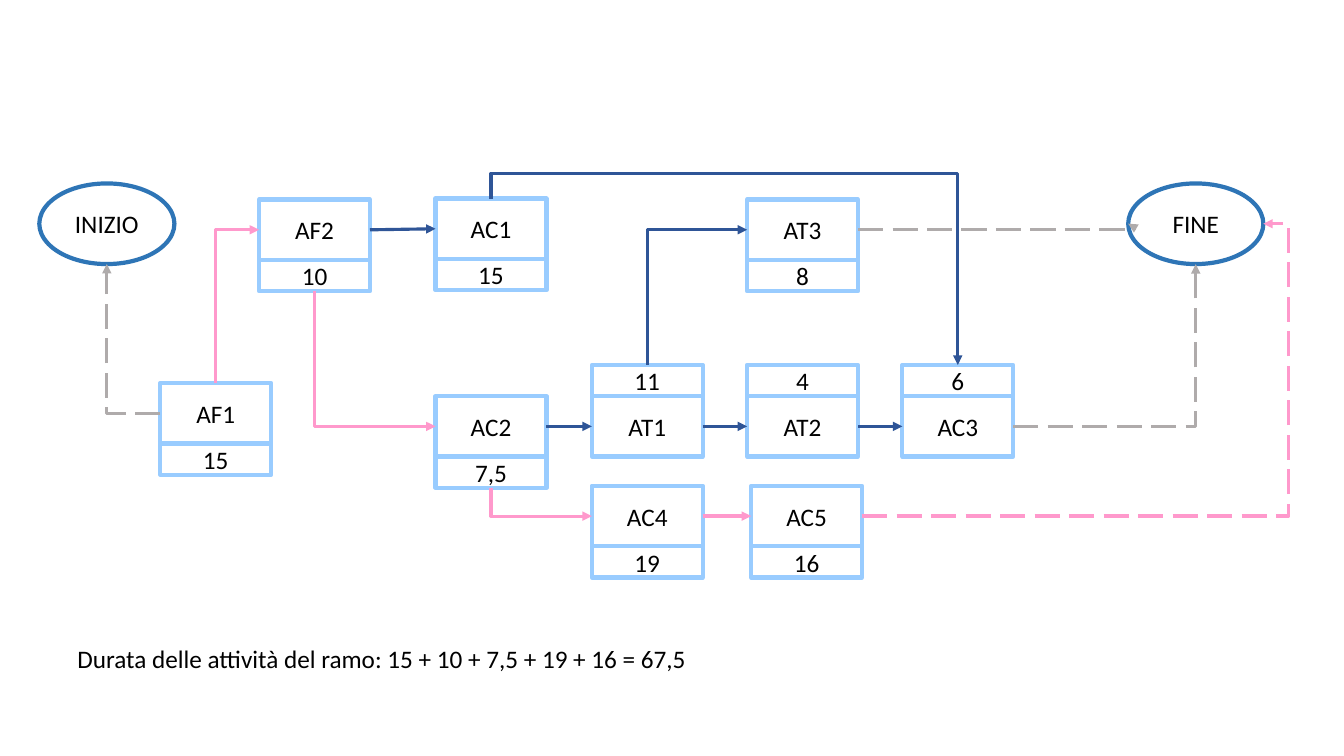
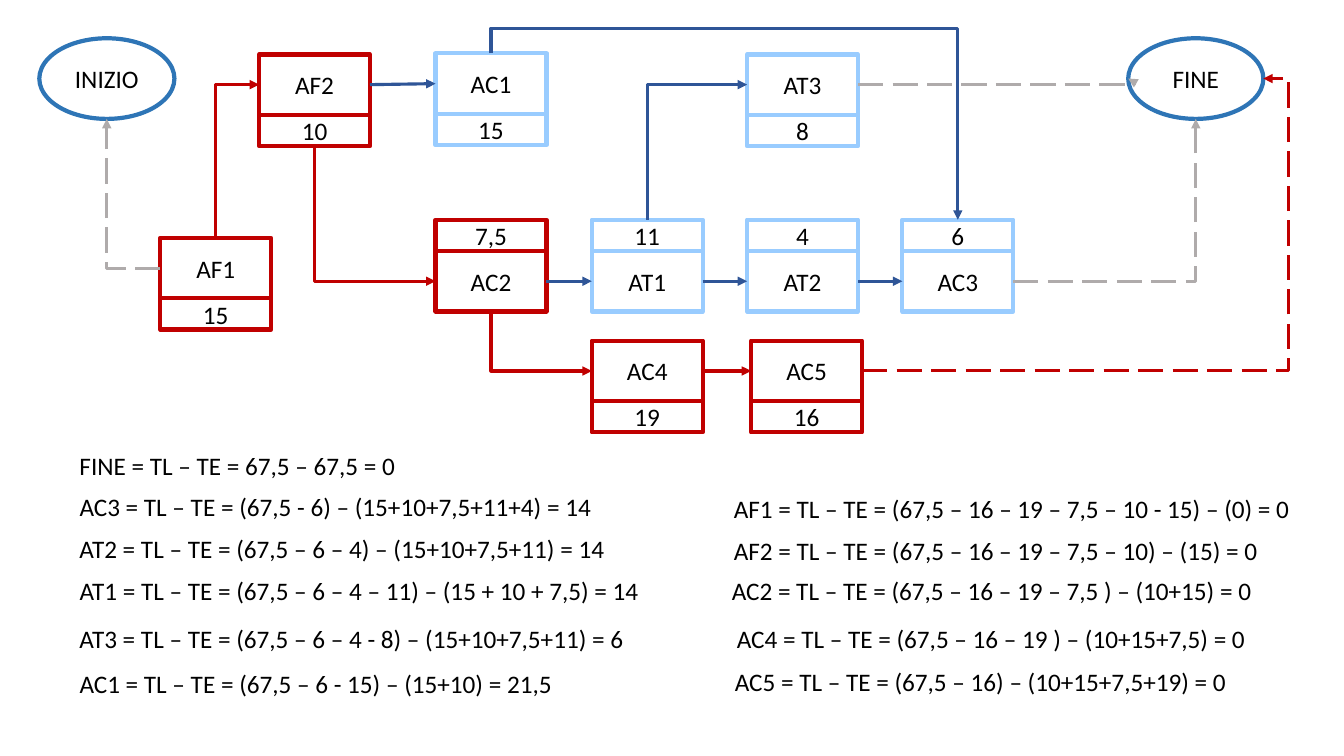
from dataclasses import dataclass
from typing import NamedTuple

from lxml.etree import SubElement
from pptx import Presentation
from pptx.dml.color import RGBColor
from pptx.enum.dml import MSO_LINE
from pptx.enum.shapes import MSO_CONNECTOR as Wire, MSO_SHAPE as Preset
from pptx.enum.text import MSO_ANCHOR, MSO_AUTO_SIZE, PP_ALIGN
from pptx.oxml.ns import qn
from pptx.util import Inches, Pt

# Shared style
FONT, TEXT_SIZE = "Calibri", 18
BLACK, LIGHT_BLUE, OVAL_BLUE = "000000", "99CCFF", "2E75B6"
LINK_BLUE, GREY, PINK, RED = "2F5597", "AFABAB", "FF99CC", "C00000"
BOX_WIDTH, NAME_HEIGHT, DAYS_HEIGHT = 1.1, 0.6, 0.31
OVAL_WIDTH, OVAL_HEIGHT = 1.34, 0.8
TOP, LEFT, BOTTOM, RIGHT = range(4)


class Activity(NamedTuple):
    name: str
    days: str
    left: float
    top: float
    days_above: bool = False


class Milestone(NamedTuple):
    name: str
    left: float
    top: float


class Link(NamedTuple):
    start: str
    start_side: int
    end: str
    end_side: int
    lane: float = 0  # distance of the middle leg beyond the start (-) or end (+)


class Note(NamedTuple):
    text: str
    left: float
    top: float
    width: float


@dataclass
class Diagram:
    shift: float
    critical_box: str
    critical_link: str
    days_above: set
    notes: list


# Project network
ACTIVITIES = [
    Activity("AF1", "15", 1.59, 3.8),
    Activity("AF2", "10", 2.57, 1.98),
    Activity("AC1", "15", 4.32, 1.97),
    Activity("AC2", "7,5", 4.32, 3.93),
    Activity("AT1", "11", 5.87, 3.93),
    Activity("AC4", "19", 5.87, 4.82),
    Activity("AT2", "4", 7.41, 3.93),
    Activity("AT3", "8", 7.41, 1.98),
    Activity("AC5", "16", 7.45, 4.82),
    Activity("AC3", "6", 8.95, 3.93),
]
MILESTONES = [Milestone("INIZIO", 0.39, 1.82), Milestone("FINE", 11.19, 1.82)]
MILESTONE_NAMES = {milestone.name for milestone in MILESTONES}
CRITICAL = {"AF1", "AF2", "AC2", "AC4", "AC5", "FINE"}
LINKS = [
    Link("AF2", RIGHT, "AC1", LEFT),
    Link("AC2", RIGHT, "AT1", LEFT),
    Link("AT1", RIGHT, "AT2", LEFT),
    Link("AC4", RIGHT, "AC5", LEFT),
    Link("AT2", RIGHT, "AC3", LEFT),
    Link("AC1", TOP, "AC3", TOP, -0.25),
    Link("AF2", BOTTOM, "AC2", LEFT),
    Link("AC2", BOTTOM, "AC4", LEFT),
    Link("AT1", TOP, "AT3", LEFT),
    Link("AF1", TOP, "AF2", LEFT),
    Link("AF1", LEFT, "INIZIO", BOTTOM),
    Link("AC5", RIGHT, "FINE", RIGHT, 0.25),
    Link("AC3", RIGHT, "FINE", BOTTOM),
    Link("AT3", RIGHT, "FINE", LEFT, 0.06),
]

# Slide contents
DIAGRAMS = [
    Diagram(0, LIGHT_BLUE, PINK, {"AT1", "AT2", "AC3"}, [
        Note("Durata delle attività del ramo: 15 + 10 + 7,5 + 19 + 16 = 67,5",
             0.67, 6.33, 6.27),
    ]),
    Diagram(-1.44, RED, RED, {"AC2", "AT1", "AT2", "AC3"}, [
        Note("FINE = TL – TE = 67,5 – 67,5 = 0", 0.69, 4.42, 3.43),
        Note("AC3 = TL – TE = (67,5 - 6) – (15+10+7,5+11+4) = 14", 0.69, 4.83, 5.35),
        Note("AT2 = TL – TE = (67,5 – 6 – 4) – (15+10+7,5+11) = 14", 0.69, 5.24, 5.54),
        Note("AT1 = TL – TE = (67,5 – 6 – 4 – 11) – (15 + 10 + 7,5) = 14", 0.69, 5.66, 5.88),
        Note("AT3 = TL – TE = (67,5 – 6 – 4 - 8) – (15+10+7,5+11) = 6", 0.69, 6.13, 5.73),
        Note("AC1 = TL – TE = (67,5 – 6 - 15) – (15+10) = 21,5", 0.69, 6.58, 4.95),
        Note("AF1 = TL – TE = (67,5 – 16 – 19 – 7,5 – 10 - 15) – (0) = 0", 7.18, 4.84, 5.79),
        Note("AF2 = TL – TE = (67,5 – 16 – 19 – 7,5 – 10) – (15) = 0", 7.18, 5.26, 5.47),
        Note("AC2 = TL – TE = (67,5 – 16 – 19 – 7,5 ) – (10+15) = 0", 7.16, 5.66, 5.43),
        Note("AC4 = TL – TE = (67,5 – 16 – 19 ) – (10+15+7,5) = 0", 7.21, 6.13, 5.31),
        Note("AC5 = TL – TE = (67,5 – 16) – (10+15+7,5+19) = 0", 7.19, 6.56, 5.2),
    ]),
]


def colour(value: str) -> RGBColor:
    return RGBColor.from_string(value)


def write(shape, text: str, align: PP_ALIGN) -> None:
    para = shape.text_frame.paragraphs[0]
    para.text = text
    para.alignment = align
    for span in para.runs:
        span.font.name = FONT
        span.font.size = Pt(TEXT_SIZE)
        span.font.color.rgb = colour(BLACK)


def add_outline(page, preset, text: str, left: float, top: float,
                width: float, height: float, line_colour: str):
    shape = page.shapes.add_shape(
        preset, Inches(left), Inches(top), Inches(width), Inches(height))
    shape.shadow.inherit = False
    shape.fill.background()
    shape.line.color.rgb = colour(line_colour)
    shape.line.width = Pt(3)
    shape.text_frame.vertical_anchor = MSO_ANCHOR.MIDDLE
    write(shape, text, PP_ALIGN.CENTER)
    return shape


def add_activity(page, activity: Activity, diagram: Diagram) -> dict:
    """Draw the name and duration boxes; return the box to join on each side."""
    line_colour = diagram.critical_box if activity.name in CRITICAL else LIGHT_BLUE
    above = activity.name in diagram.days_above
    top = activity.top + diagram.shift
    days_top = top - DAYS_HEIGHT if above else top + NAME_HEIGHT
    name_box = add_outline(page, Preset.RECTANGLE, activity.name, activity.left,
                           top, BOX_WIDTH, NAME_HEIGHT, line_colour)
    days_box = add_outline(page, Preset.RECTANGLE, activity.days, activity.left,
                           days_top, BOX_WIDTH, DAYS_HEIGHT, line_colour)
    return {LEFT: name_box, RIGHT: name_box,
            TOP: days_box if above else name_box,
            BOTTOM: name_box if above else days_box}


def add_milestone(page, milestone: Milestone, diagram: Diagram) -> dict:
    oval = add_outline(page, Preset.OVAL, milestone.name, milestone.left,
                       milestone.top + diagram.shift, OVAL_WIDTH, OVAL_HEIGHT, OVAL_BLUE)
    return dict.fromkeys((TOP, LEFT, BOTTOM, RIGHT), oval)


def bend(connector, link: Link) -> None:
    """Give an elbow its number of turns, its first direction and its lane."""
    properties = connector.element.spPr
    across = connector.end_x - connector.begin_x
    down = connector.end_y - connector.begin_y
    length = abs(across)
    if link.start_side in (TOP, BOTTOM):
        # Leaves vertically: turn the frame about its centre
        length = abs(down)
        middle_x = connector.begin_x + across // 2
        middle_y = connector.begin_y + down // 2
        connector.left = middle_x - length // 2
        connector.top = middle_y - abs(across) // 2
        connector.width, connector.height = length, abs(across)
        frame = properties.find(qn("a:xfrm"))
        frame.set("rot", "16200000" if down > 0 else "5400000")
        frame.set("flipH", "1")
        frame.set("flipV", "0" if down > 0 else "1")
    geometry = properties.find(qn("a:prstGeom"))
    if not link.lane:
        geometry.set("prst", "bentConnector2")
        return
    ratio = link.lane * Inches(1) / length + (1 if link.lane > 0 else 0)
    guides = geometry.find(qn("a:avLst"))
    if guides is None:
        guides = SubElement(geometry, qn("a:avLst"))
    SubElement(guides, qn("a:gd"), name="adj1", fmla=f"val {round(ratio * 100000)}")


def add_link(page, link: Link, joints: dict, diagram: Diagram) -> None:
    turns = bool(link.lane) or link.start_side % 2 != link.end_side % 2
    connector = page.shapes.add_connector(
        Wire.ELBOW if turns else Wire.STRAIGHT,
        Inches(0), Inches(0), Inches(0), Inches(0))
    connector.begin_connect(joints[link.start][link.start_side], link.start_side)
    connector.end_connect(joints[link.end][link.end_side], link.end_side)
    to_milestone = link.end in MILESTONE_NAMES
    if to_milestone:
        # An oval has eight joints, so each side has twice the number
        for joint in connector.element.iter(qn("a:endCxn")):
            joint.set("idx", str(link.end_side * 2))
    if turns:
        bend(connector, link)

    # Line style and arrowhead
    if {link.start, link.end} <= CRITICAL:
        line_colour = diagram.critical_link
    else:
        line_colour = GREY if to_milestone else LINK_BLUE
    connector.line.color.rgb = colour(line_colour)
    connector.line.width = Pt(2.25)
    if to_milestone:
        connector.line.dash_style = MSO_LINE.LONG_DASH
    properties = connector.element.spPr
    SubElement(properties.find(qn("a:ln")), qn("a:tailEnd"), type="triangle")
    SubElement(properties, qn("a:effectLst"))


def add_note(page, note: Note) -> None:
    box = page.shapes.add_textbox(
        Inches(note.left), Inches(note.top), Inches(note.width), Inches(0.4))
    box.text_frame.word_wrap = False
    box.text_frame.auto_size = MSO_AUTO_SIZE.SHAPE_TO_FIT_TEXT
    write(box, note.text, PP_ALIGN.LEFT)


def add_diagram(deck, diagram: Diagram) -> None:
    page = deck.slides.add_slide(deck.slide_layouts[6])
    joints = {}
    for milestone in MILESTONES:
        joints[milestone.name] = add_milestone(page, milestone, diagram)
    for activity in ACTIVITIES:
        joints[activity.name] = add_activity(page, activity, diagram)
    for link in LINKS:
        add_link(page, link, joints, diagram)
    for note in diagram.notes:
        add_note(page, note)


def main() -> None:
    deck = Presentation()
    deck.slide_width, deck.slide_height = Inches(13.33), Inches(7.5)
    for diagram in DIAGRAMS:
        add_diagram(deck, diagram)
    deck.save("out.pptx")


if __name__ == "__main__":
    main()
